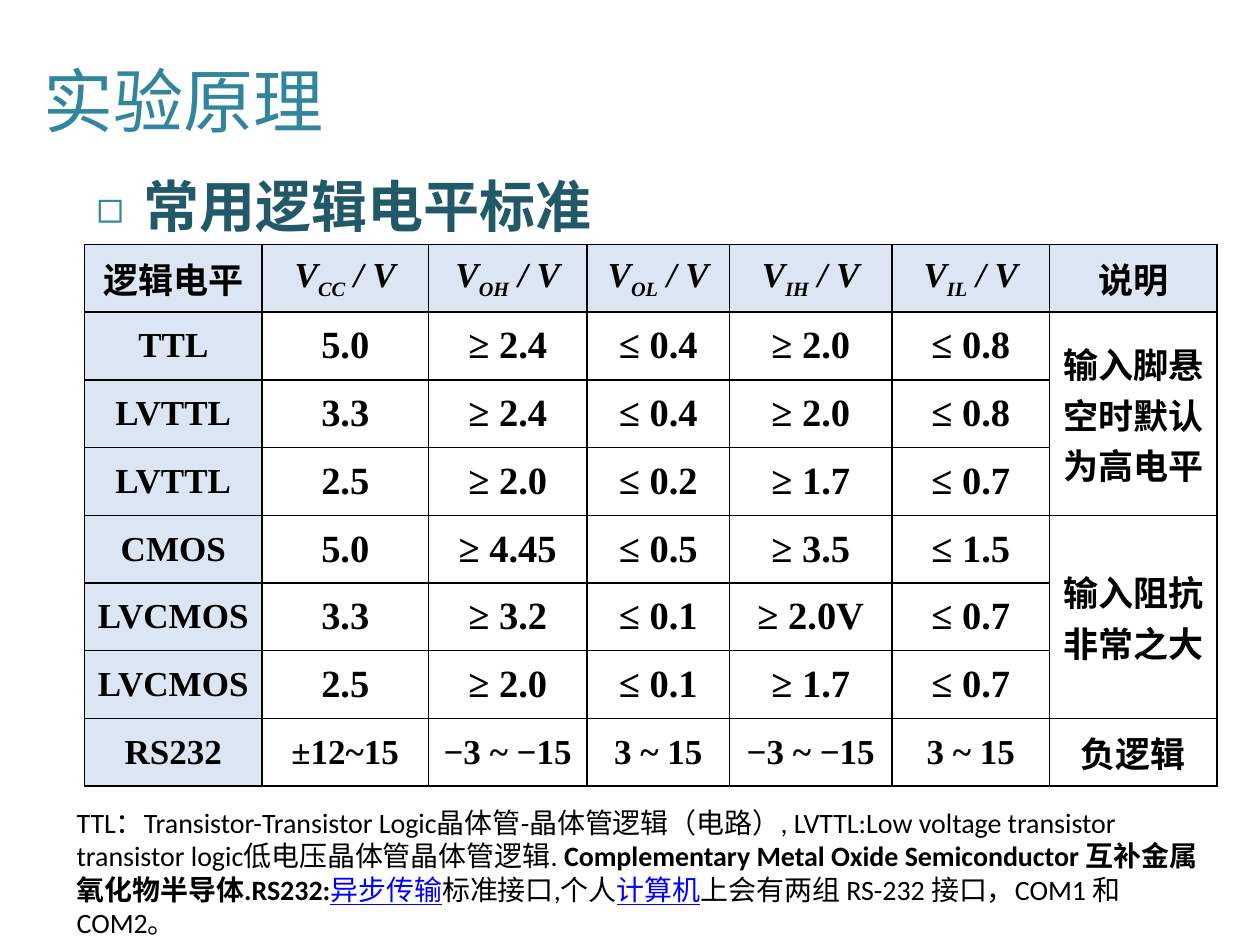
from dataclasses import dataclass

from lxml.etree import SubElement
from pptx import Presentation
from pptx.dml.color import RGBColor
from pptx.enum.text import MSO_ANCHOR, PP_ALIGN
from pptx.oxml.ns import qn
from pptx.util import Pt

TEAL = RGBColor(0x31, 0x85, 0x9C)
DEEP = RGBColor(0x21, 0x59, 0x68)
BLACK = RGBColor(0, 0, 0)
BLUE = RGBColor(0, 0, 0xFF)
PALE = RGBColor(0xDC, 0xE6, 0xF2)
HAN = "Noto Sans CJK SC"
SERIF = "Times New Roman"
SANS = "Calibri"


@dataclass(frozen=True)
class Style:
    size: float
    font: str
    color: RGBColor = BLACK
    bold: bool = False
    slant: bool = False
    under: bool = False
    base: int = 0


@dataclass(frozen=True)
class Span:
    text: str
    style: Style


@dataclass(frozen=True)
class Box:
    left: float
    top: float
    width: float
    height: float


HEAD = Style(20, SERIF, bold=True)
NOTE = Style(20, SANS, bold=True)
VALUE = Style(22, SERIF, bold=True)
SIGN = Style(20, SERIF, bold=True, slant=True)
SUB = Style(20, SERIF, bold=True, slant=True, base=-25000)
PLAIN = Style(16, SANS)
STRONG = Style(16, SANS, bold=True)
LINK = Style(16, SANS, BLUE, under=True)

WIDTHS = [101.5, 95, 90.7, 81.4, 92.9, 90, 95.8]
LEVELS = ["CC", "OH", "OL", "IH", "IL"]
ROWS = [
    ["TTL", "5.0", "≥ 2.4", "≤ 0.4", "≥ 2.0", "≤ 0.8"],
    ["LVTTL", "3.3", "≥ 2.4", "≤ 0.4", "≥ 2.0", "≤ 0.8"],
    ["LVTTL", "2.5", "≥ 2.0", "≤ 0.2", "≥ 1.7", "≤ 0.7"],
    ["CMOS", "5.0", "≥ 4.45", "≤ 0.5", "≥ 3.5", "≤ 1.5"],
    ["LVCMOS", "3.3", "≥ 3.2", "≤ 0.1", "≥ 2.0V", "≤ 0.7"],
    ["LVCMOS", "2.5", "≥ 2.0", "≤ 0.1", "≥ 1.7", "≤ 0.7"],
    ["RS232", "±12~15", "−3 ~ −15", "3 ~ 15", "−3 ~ −15", "3 ~ 15"],
]
NOTES = {
    1: (3, Span("输入脚悬空时默认为高电平", HEAD)),
    4: (6, Span("输入阻抗非常之大", NOTE)),
    7: (7, Span("负逻辑", NOTE)),
}
LEGEND = [
    Span("TTL：Transistor-Transistor Logic晶体管-晶体管逻辑（电路）, "
         "LVTTL:Low voltage transistor transistor logic低电压晶体管晶体管逻辑.", PLAIN),
    Span(" Complementary Metal Oxide Semiconductor 互补金属氧化物半导体.RS232:", STRONG),
    Span("异步传输", LINK),
    Span("标准接口,个人", PLAIN),
    Span("计算机", LINK),
    Span("上会有两组 RS-232 接口，COM1 和 COM2。", PLAIN),
]


def write(para, spans: list[Span]) -> None:
    for span in spans:
        run = para.add_run()
        run.text = span.text
        style, font = span.style, run.font
        font.size = Pt(style.size)
        font.name = style.font
        font.bold = style.bold
        font.italic = style.slant
        font.underline = style.under
        font.color.rgb = style.color
        props = run._r.get_or_add_rPr()
        SubElement(props, qn("a:ea"), typeface=HAN)
        if style.base:
            props.set("baseline", str(style.base))


def label(slide, box: Box, spans: list[Span], anchor=MSO_ANCHOR.TOP):
    shape = slide.shapes.add_textbox(
        Pt(box.left), Pt(box.top), Pt(box.width), Pt(box.height))
    frame = shape.text_frame
    frame.word_wrap = True
    frame.vertical_anchor = anchor
    para = frame.paragraphs[0]
    write(para, spans)
    return para


def bullet(para, sign: str, indent: float) -> None:
    props = para._p.get_or_add_pPr()
    props.set("marL", str(Pt(indent)))
    props.set("indent", str(-Pt(indent)))
    tint = SubElement(props, qn("a:buClr"))
    SubElement(tint, qn("a:srgbClr"), val=str(TEAL))
    SubElement(props, qn("a:buSzPct"), val="80000")
    SubElement(props, qn("a:buFont"), typeface=HAN)
    SubElement(props, qn("a:buChar"), char=sign)


def border(cell) -> None:
    props = cell._tc.get_or_add_tcPr()
    for side in ("lnL", "lnR", "lnT", "lnB"):
        line = SubElement(props, qn(f"a:{side}"), w=str(Pt(1)))
        fill = SubElement(line, qn("a:solidFill"))
        SubElement(fill, qn("a:srgbClr"), val=str(BLACK))


def put(cell, spans: list[Span]) -> None:
    cell.vertical_anchor = MSO_ANCHOR.MIDDLE
    para = cell.text_frame.paragraphs[0]
    para.alignment = PP_ALIGN.CENTER
    write(para, spans)


def grid(slide, box: Box) -> None:
    count = len(ROWS) + 1
    table = slide.shapes.add_table(
        count, len(WIDTHS), Pt(box.left), Pt(box.top),
        Pt(box.width), Pt(box.height)).table
    table.first_row = table.horz_banding = False
    for col, width in zip(table.columns, WIDTHS):
        col.width = Pt(width)
    for r, row in enumerate(table.rows):
        row.height = Pt(box.height / count)
        for c, cell in enumerate(row.cells):
            border(cell)
            if r == 0 or c == 0:
                cell.fill.solid()
                cell.fill.fore_color.rgb = PALE
            else:
                cell.fill.background()

    put(table.cell(0, 0), [Span("逻辑电平", HEAD)])
    for c, level in enumerate(LEVELS, 1):
        put(table.cell(0, c), [Span("V", SIGN), Span(level, SUB), Span(" / V", SIGN)])
    last = len(WIDTHS) - 1
    put(table.cell(0, last), [Span("说明", HEAD)])
    for r, row in enumerate(ROWS, 1):
        for c, text in enumerate(row):
            style = HEAD if c == 0 or r == len(ROWS) else VALUE
            put(table.cell(r, c), [Span(text, style)])
    for start, (end, span) in NOTES.items():
        cell = table.cell(start, last)
        if end > start:
            cell.merge(table.cell(end, last))
        put(cell, [span])


def main() -> None:
    deck = Presentation()
    deck.slide_width, deck.slide_height = Pt(720), Pt(540)
    slide = deck.slides.add_slide(deck.slide_layouts[6])
    label(slide, Box(18, 19.5, 551.5, 75),
          [Span("实验原理", Style(40, HAN, TEAL))], MSO_ANCHOR.MIDDLE)
    topic = label(slide, Box(48, 94.5, 648, 362),
                  [Span("常用逻辑电平标准", Style(32, HAN, DEEP, bold=True))])
    bullet(topic, "◻", 27)
    grid(slide, Box(48.3, 139.7, sum(WIDTHS), 309.6))
    label(slide, Box(36.7, 456.5, 666, 65.5), LEGEND)
    deck.save("out.pptx")


if __name__ == "__main__":
    main()
